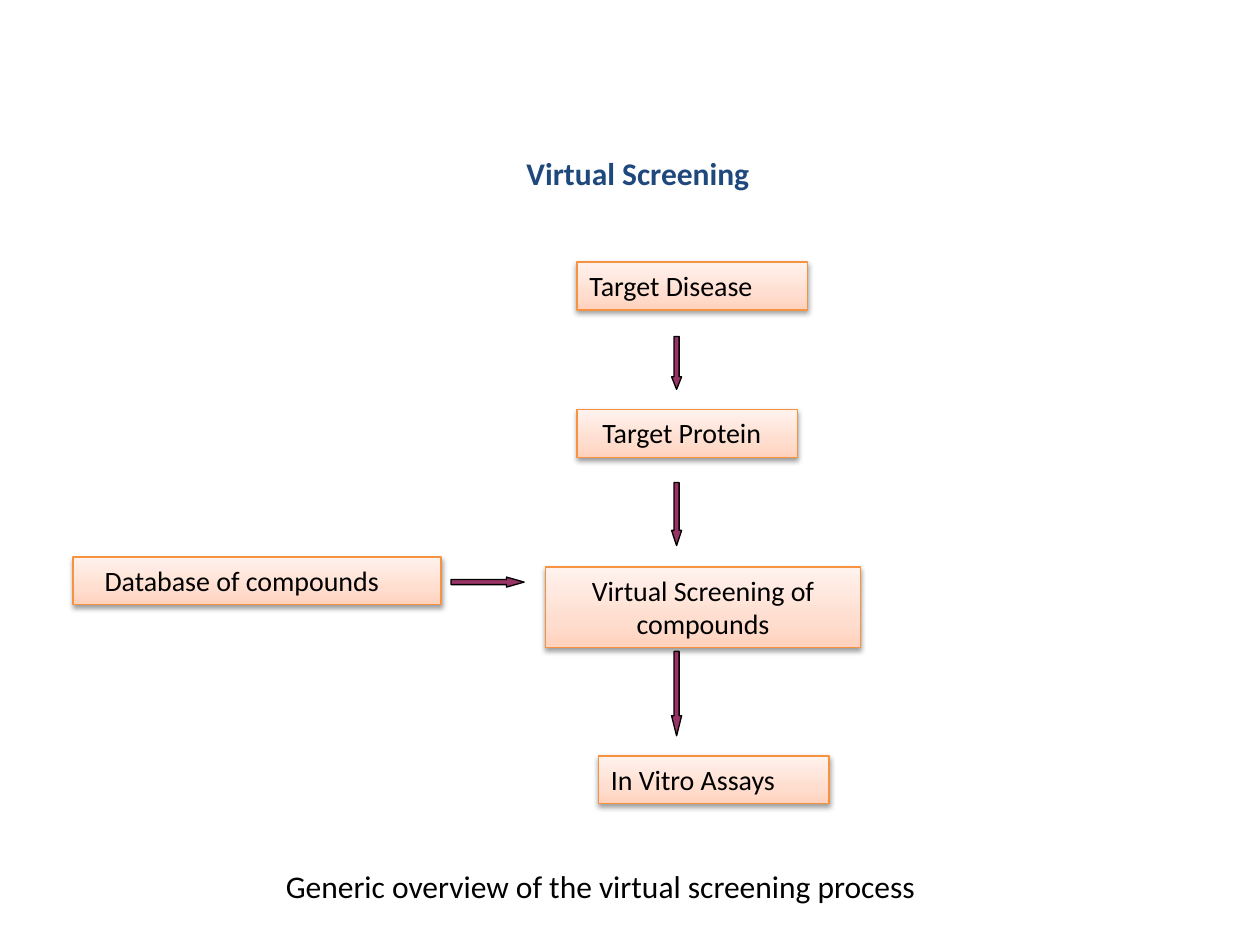
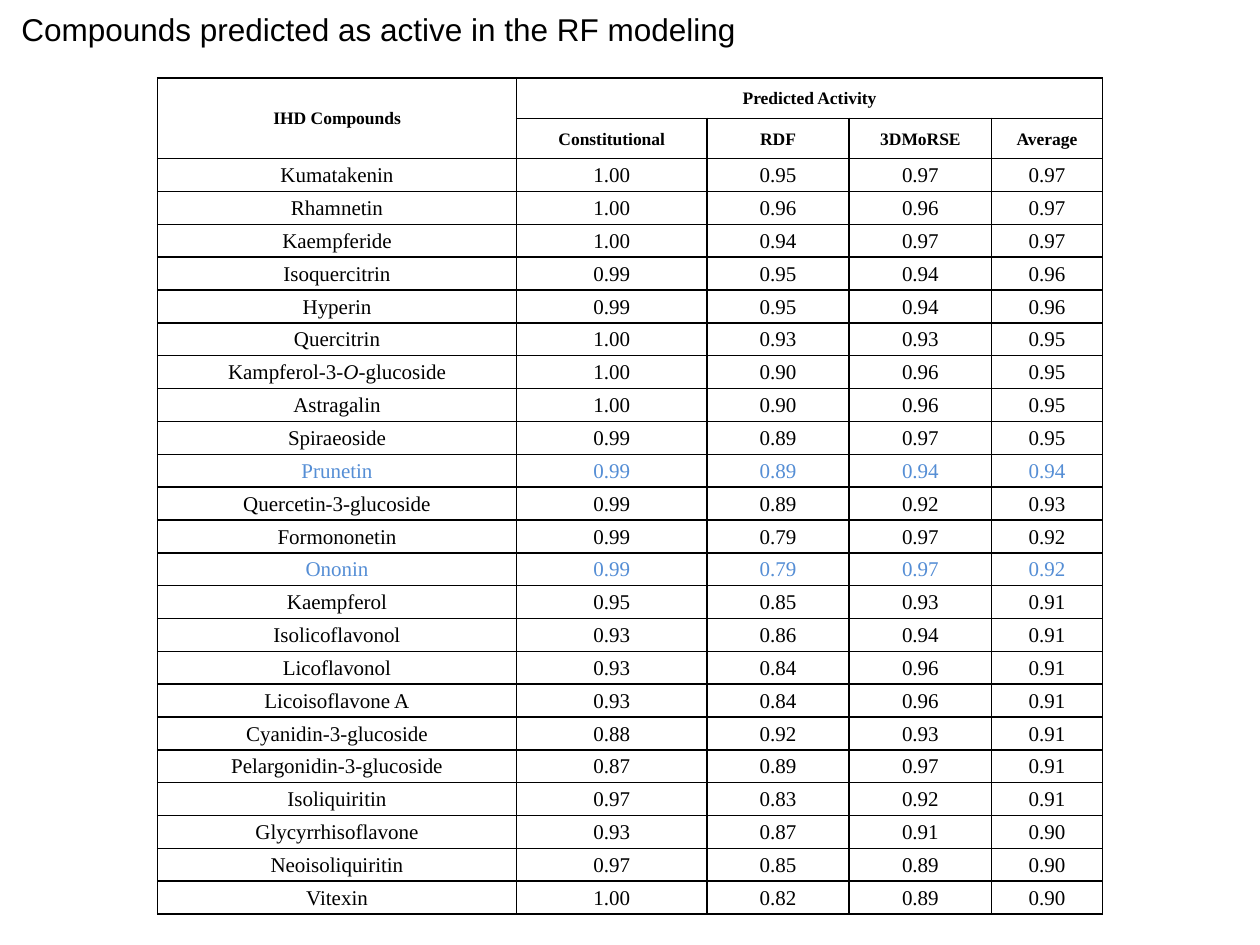
from lxml import etree
from pptx import Presentation
from pptx import util as u
from pptx.dml.color import RGBColor
from pptx.enum import shapes, text
from pptx.oxml.ns import qn


class Theme:
    ink = "000000"
    title = "1F497D"
    mark = "558ED5"
    arrow = "993366"
    edge = "F69240"
    blend = [(0, "FFD2BD"), (35, "FFDED0"), (100, "FFF2ED")]
    sans, arial, serif = "Calibri", "Arial", "Times New Roman"
    large, label, body, head = 18, 16, 12, 10


def write(frame, words, size=Theme.label, font=Theme.sans, color=Theme.ink, bold=False,
          align=text.PP_ALIGN.LEFT, inset=(0.1, 0.05), wrap=True):
    """Fill a frame; words between asterisks are italic. Cells have no inset."""
    if inset:
        frame.word_wrap = wrap
        frame.vertical_anchor = text.MSO_ANCHOR.TOP
        frame.margin_left, frame.margin_top = [u.Inches(side) for side in inset]
    para = frame.paragraphs[0]
    para.alignment = align
    for i, part in enumerate(words.split("*")):
        run = para.add_run()
        run.text = part
        run.font.size = u.Pt(size)
        run.font.name = font
        run.font.bold = bold
        run.font.italic = i % 2 == 1
        run.font.color.rgb = RGBColor.from_string(color)


def draw(slide, kind, place, fill, line):
    """Add a shape with a plain or blended fill and a thin line."""
    shape = slide.shapes.add_shape(kind, *[u.Inches(v) for v in place])
    shape.shadow.inherit = False
    if isinstance(fill, str):
        shape.fill.solid()
        shape.fill.fore_color.rgb = RGBColor.from_string(fill)
    else:
        shape.fill.gradient()
        shape.fill.gradient_angle = 90
        stops = shape._element.spPr.find(".//" + qn("a:gsLst"))
        stops.clear()
        for pos, color in fill:
            stop = etree.SubElement(stops, qn("a:gs"), pos=str(pos * 1000))
            etree.SubElement(stop, qn("a:srgbClr"), val=color)
    shape.line.color.rgb = RGBColor.from_string(line)
    shape.line.width = u.Pt(0.75)
    return shape


deck = Presentation()
deck.slide_width, deck.slide_height = u.Inches(10), u.Inches(7.5)
blank = deck.slide_layouts[6]

# Slide 1: screening flow
slide = deck.slides.add_slide(blank)
left, mid = text.PP_ALIGN.LEFT, text.PP_ALIGN.CENTER
steps = [
    ("Target Disease", (4.58, 2.08, 1.83, 0.38), left, 0.1),
    ("Target Protein", (4.58, 3.25, 1.75, 0.38), left, 0.2),
    ("Database of compounds", (0.58, 4.42, 2.92, 0.38), left, 0.25),
    ("Virtual Screening of compounds", (4.33, 4.5, 2.5, 0.64), mid, 0.1),
    ("In Vitro Assays", (4.75, 6, 1.83, 0.38), left, 0.1),
]
for words, place, align, indent in steps:
    box = draw(slide, shapes.MSO_SHAPE.RECTANGLE, place, Theme.blend, Theme.edge)
    write(box.text_frame, words, align=align, inset=(indent, 0.05))
    # Soft shadow below the box
    glow = etree.SubElement(box._element.spPr.find(qn("a:effectLst")), qn("a:outerShdw"),
                            blurRad=str(u.Pt(3.1)), dist=str(u.Pt(1.6)),
                            dir="5400000", rotWithShape="0")
    tint = etree.SubElement(glow, qn("a:srgbClr"), val=Theme.ink)
    etree.SubElement(tint, qn("a:alpha"), val="38000")

# Block arrows between the steps
down, right = shapes.MSO_SHAPE.DOWN_ARROW, shapes.MSO_SHAPE.RIGHT_ARROW
arrows = [
    (down, (5.33, 2.67, 0.08, 0.42), 1.25),
    (down, (5.33, 3.83, 0.08, 0.5), 1.5),
    (down, (5.33, 5.17, 0.08, 0.67), 2),
    (right, (3.58, 4.58, 0.58, 0.08), 1.75),
]
for kind, place, tip in arrows:
    arrow = draw(slide, kind, place, Theme.arrow, Theme.ink)
    arrow.adjustments[0] = 0.5
    arrow.adjustments[1] = tip

# Title and caption
for words, place, color, bold in [
    ("Virtual Screening", (4.08, 1.17, 2.92, 0.5), Theme.title, True),
    ("Generic overview of the virtual screening process", (2.17, 6.83, 6.58, 0.4),
     Theme.ink, False),
]:
    box = slide.shapes.add_textbox(*[u.Inches(v) for v in place])
    write(box.text_frame, words, size=Theme.large, color=color, bold=bold)

# Slide 2: predicted compounds
slide = deck.slides.add_slide(blank)
heads = [
    ("IHD Compounds", "Predicted Activity", "", "", ""),
    ("", "Constitutional", "RDF", "3DMoRSE", "Average"),
]
data = [
    ("Kumatakenin", "1.00", "0.95", "0.97", "0.97"),
    ("Rhamnetin", "1.00", "0.96", "0.96", "0.97"),
    ("Kaempferide", "1.00", "0.94", "0.97", "0.97"),
    ("Isoquercitrin", "0.99", "0.95", "0.94", "0.96"),
    ("Hyperin", "0.99", "0.95", "0.94", "0.96"),
    ("Quercitrin", "1.00", "0.93", "0.93", "0.95"),
    ("Kampferol-3-*O*-glucoside", "1.00", "0.90", "0.96", "0.95"),
    ("Astragalin", "1.00", "0.90", "0.96", "0.95"),
    ("Spiraeoside", "0.99", "0.89", "0.97", "0.95"),
    ("Prunetin", "0.99", "0.89", "0.94", "0.94"),
    ("Quercetin-3-glucoside", "0.99", "0.89", "0.92", "0.93"),
    ("Formononetin", "0.99", "0.79", "0.97", "0.92"),
    ("Ononin", "0.99", "0.79", "0.97", "0.92"),
    ("Kaempferol", "0.95", "0.85", "0.93", "0.91"),
    ("Isolicoflavonol", "0.93", "0.86", "0.94", "0.91"),
    ("Licoflavonol", "0.93", "0.84", "0.96", "0.91"),
    ("Licoisoflavone A", "0.93", "0.84", "0.96", "0.91"),
    ("Cyanidin-3-glucoside", "0.88", "0.92", "0.93", "0.91"),
    ("Pelargonidin-3-glucoside", "0.87", "0.89", "0.97", "0.91"),
    ("Isoliquiritin", "0.97", "0.83", "0.92", "0.91"),
    ("Glycyrrhisoflavone", "0.93", "0.87", "0.91", "0.90"),
    ("Neoisoliquiritin", "0.97", "0.85", "0.89", "0.90"),
    ("Vitexin", "1.00", "0.82", "0.89", "0.90"),
]
marked = {"Prunetin", "Ononin"}
rows = heads + data
wide = [2.85, 1.51, 1.13, 1.13, 0.88]
tall, high = 0.32, 6.64
grid = slide.shapes.add_table(len(rows), len(wide), u.Inches(1.25), u.Inches(0.62),
                              u.Inches(sum(wide)), u.Inches(high)).table
grid.first_row = grid.horz_banding = False
for col, width in zip(grid.columns, wide):
    col.width = u.Inches(width)
step = (high - len(heads) * tall) / len(data)

for r, row in enumerate(rows):
    top = r < len(heads)
    size = Theme.head if top else Theme.body
    color = Theme.mark if row[0] in marked else Theme.ink
    grid.rows[r].height = u.Inches(tall if top else step)
    for c, words in enumerate(row):
        cell = grid.cell(r, c)
        cell.fill.background()
        cell.vertical_anchor = text.MSO_ANCHOR.MIDDLE
        cell.margin_left = cell.margin_right = cell.margin_top = u.Inches(0.01)
        cell.margin_bottom = 0
        # Cell borders come before the fill
        props = cell._tc.get_or_add_tcPr()
        for i, side in enumerate("LRTB"):
            edge = etree.Element(qn("a:ln" + side), w=str(u.Pt(1)))
            paint = etree.SubElement(edge, qn("a:solidFill"))
            etree.SubElement(paint, qn("a:srgbClr"), val=Theme.ink)
            props.insert(i, edge)
        if words:
            write(cell.text_frame, words, size=size, font=Theme.serif, color=color,
                  bold=top, align=mid, inset=None)
grid.cell(0, 0).merge(grid.cell(1, 0))
grid.cell(0, 1).merge(grid.cell(0, 4))

# Heading
box = slide.shapes.add_textbox(0, 0, u.Inches(6.05), u.Inches(0.71))
write(box.text_frame, "Compounds predicted as active in the RF modeling", size=Theme.large,
      font=Theme.arial, inset=(0.17, 0.08), wrap=False)

deck.save("out.pptx")
